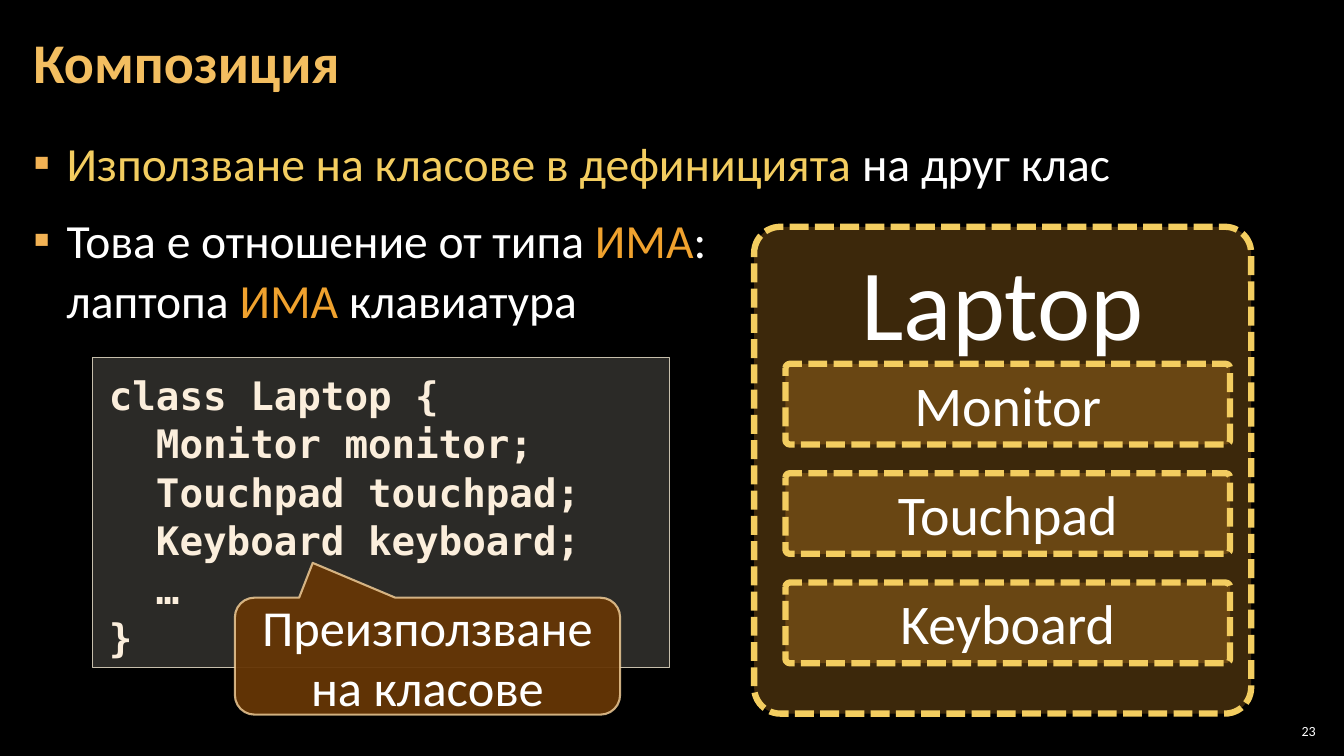
"""Build the slide about composition of classes."""
import lxml.etree
import pptx
import pptx.dml.color
import pptx.enum.dml
import pptx.enum.shapes
import pptx.enum.text
import pptx.oxml.ns
import pptx.util

Inches = pptx.util.Inches
Pt = pptx.util.Pt
SHAPE = pptx.enum.shapes.MSO_SHAPE
ALIGN = pptx.enum.text.PP_ALIGN
ANCHOR = pptx.enum.text.MSO_ANCHOR
DASH = pptx.enum.dml.MSO_LINE
qn = pptx.oxml.ns.qn

COLORS = {
    "background": "000000", "title": "F3BE60", "white": "FFFFFF",
    "yellow": "F3CD60", "orange": "F0A22E", "bullet": "F2B254",
    "code": "FBEEDC", "code_fill": "D9D5C7", "code_line": "C7BFAC",
    "callout": "663606", "callout_line": "F8D49E",
}
TITLE = "Композиция"
BULLETS = [
    [("Използване на класове в дефиницията ", "yellow"), ("на друг клас", "white")],
    [("Това е отношение от типа ", "white"), ("ИМА", "orange"),
     (":\nлаптопа ", "white"), ("ИМА ", "orange"), ("клавиатура", "white")],
]
CODE = [
    "class Laptop {",
    "  Monitor monitor;",
    "  Touchpad touchpad;",
    "  Keyboard keyboard;",
    "  …",
    "}",
]
CALLOUT = "Преизползване на класове"
WHOLE = "Laptop"
PARTS = ["Monitor", "Touchpad", "Keyboard"]
PAGE_NUMBER = "23"

PART_LEFT, PART_TOP, PART_STEP = 7.79, 3.61, 1.085


def rgb(name):
    return pptx.dml.color.RGBColor.from_string(COLORS[name])


def set_alpha(fill_owner, percent):
    """Make the solid colour of an XML element partly transparent."""
    color = fill_owner.find(qn("a:solidFill"))[0]
    lxml.etree.SubElement(color, qn("a:alpha"), val=str(percent * 1000))


def add_bullet(para):
    properties = para._p.get_or_add_pPr()
    properties.set("marL", str(Inches(0.33)))
    properties.set("indent", str(-Inches(0.33)))
    holder = lxml.etree.SubElement(properties, qn("a:buClr"))
    lxml.etree.SubElement(holder, qn("a:srgbClr"), val=COLORS["bullet"])
    lxml.etree.SubElement(properties, qn("a:buFont"), typeface="Calibri")
    lxml.etree.SubElement(properties, qn("a:buChar"), char="▪")


def write(box, paragraphs, size, color="white", font="Calibri", bold=False,
          align=ALIGN.LEFT, anchor=ANCHOR.TOP, insets=(0.1, 0.05),
          spacing=None, gap=0, bullets=False):
    """Fill a box with paragraphs, each a string or a list of (text, colour)."""
    frame = box.text_frame
    frame.word_wrap = True
    frame.auto_size = pptx.enum.text.MSO_AUTO_SIZE.NONE
    frame.vertical_anchor = anchor
    frame.margin_left = frame.margin_right = Inches(insets[0])
    frame.margin_top = frame.margin_bottom = Inches(insets[1])
    for index, spans in enumerate(paragraphs):
        para = frame.add_paragraph() if index else frame.paragraphs[0]
        if bullets:
            add_bullet(para)
        para.alignment = align
        para.line_spacing = spacing
        para.space_before = Pt(gap if index else 0)
        para.space_after = Pt(gap)
        if isinstance(spans, str):
            spans = [(spans, color)]
        for text, span_color in spans:
            for number, piece in enumerate(text.split("\n")):
                if number:
                    para.add_line_break()
                span = para.add_run()
                span.text = piece
                span.font.name = font
                span.font.size = Pt(size)
                span.font.bold = bold
                span.font.color.rgb = rgb(span_color)


def add_panel(page, kind, place, fill, alpha, line, width, dash=None):
    panel = page.shapes.add_shape(kind, *map(Inches, place))
    panel.shadow.inherit = False
    panel.fill.solid()
    panel.fill.fore_color.rgb = rgb(fill)
    set_alpha(panel._element.spPr, alpha)
    panel.line.color.rgb = rgb(line)
    panel.line.width = Pt(width)
    if dash:
        panel.line.dash_style = dash
    return panel


def add_class_box(page, name, place, size):
    box = add_panel(page, SHAPE.ROUNDED_RECTANGLE, place, "orange", 25,
                    "yellow", 4.5, DASH.SQUARE_DOT)
    box.adjustments[0] = 0.054
    write(box, [name], size, align=ALIGN.CENTER)


def main():
    deck = pptx.Presentation()
    deck.slide_width, deck.slide_height = Inches(13.33), Inches(7.5)
    page = deck.slides.add_slide(deck.slide_layouts[5])
    page.background.fill.solid()
    page.background.fill.fore_color.rgb = rgb("background")

    title = page.shapes.title
    title.left, title.top = Inches(0.21), Inches(0.04)
    title.width, title.height = Inches(12.91), Inches(1.21)
    write(title, [TITLE], 40, color="title", bold=True, anchor=ANCHOR.MIDDLE,
          insets=(0.12, 0.04), spacing=0.9)

    body = page.shapes.add_textbox(*map(Inches, (0.21, 1.26, 12.91, 6)))
    write(body, BULLETS, 34, insets=(0.12, 0.04), spacing=1.05, gap=6, bullets=True)

    code = add_panel(page, SHAPE.RECTANGLE, (0.92, 3.55, 5.72, 3.07),
                     "code_fill", 20, "code_line", 1)
    write(code, CODE, 28, color="code", font="DejaVu Sans Mono", bold=True,
          insets=(0.16, 0.12), spacing=1.03)

    callout = add_panel(page, SHAPE.ROUNDED_RECTANGULAR_CALLOUT,
                        (2.33, 5.93, 3.82, 1.16), "callout", 95, "callout_line", 1.5)
    set_alpha(callout.line._get_or_add_ln(), 80)
    for index, value in enumerate((-0.298, -0.798, 0.167)):
        callout.adjustments[index] = value
    write(callout, [CALLOUT], 36, align=ALIGN.CENTER, anchor=ANCHOR.MIDDLE)

    add_class_box(page, WHOLE, (7.48, 2.25, 4.93, 4.83), 72)
    for index, name in enumerate(PARTS):
        add_class_box(page, name, (PART_LEFT, PART_TOP + index * PART_STEP, 4.41, 0.8), 40)

    number = page.shapes.add_textbox(*map(Inches, (12.65, 7.15, 0.44, 0.2)))
    write(number, [PAGE_NUMBER], 10, align=ALIGN.RIGHT, anchor=ANCHOR.MIDDLE,
          insets=(0.04, 0.04))

    deck.save("out.pptx")


if __name__ == "__main__":
    main()
